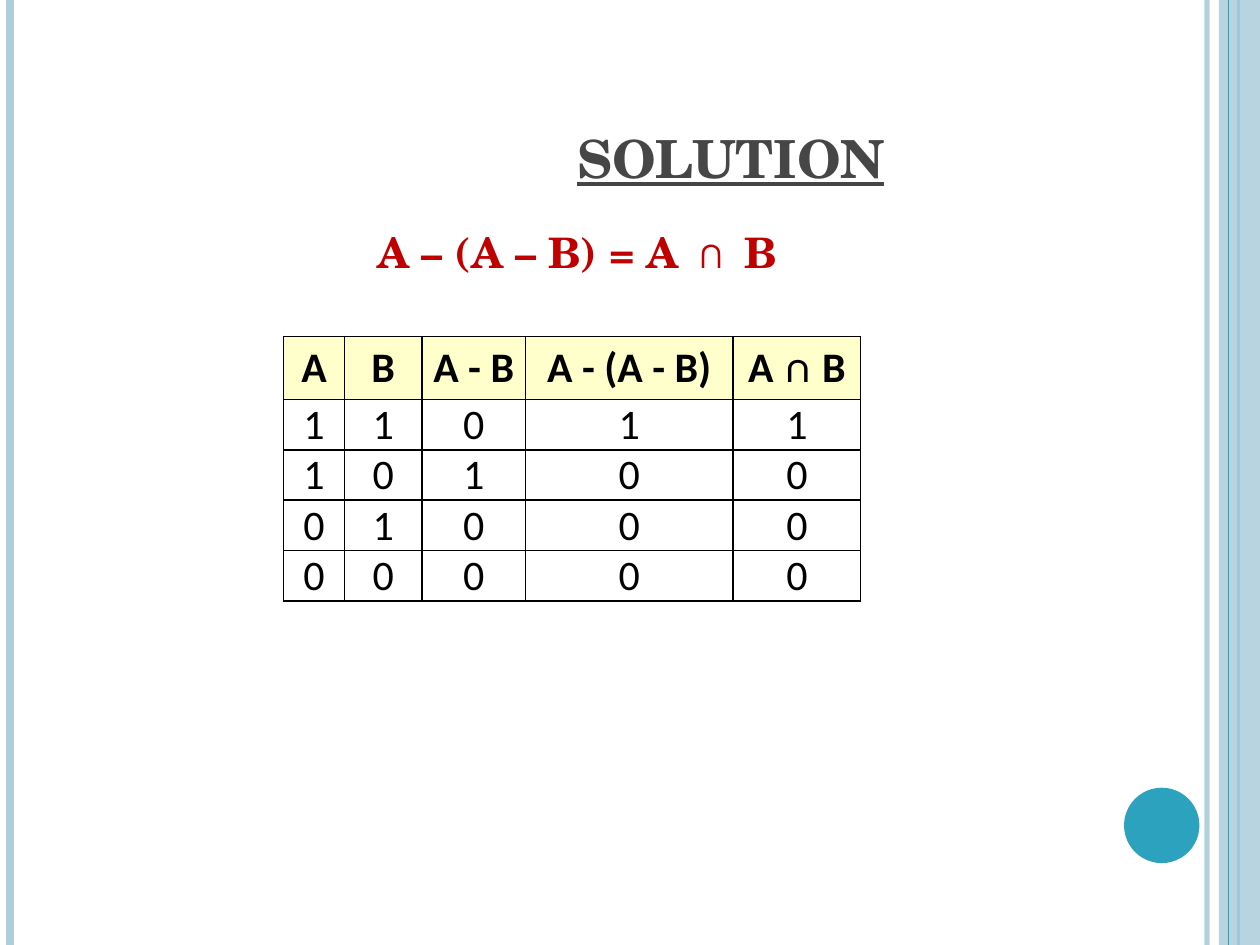
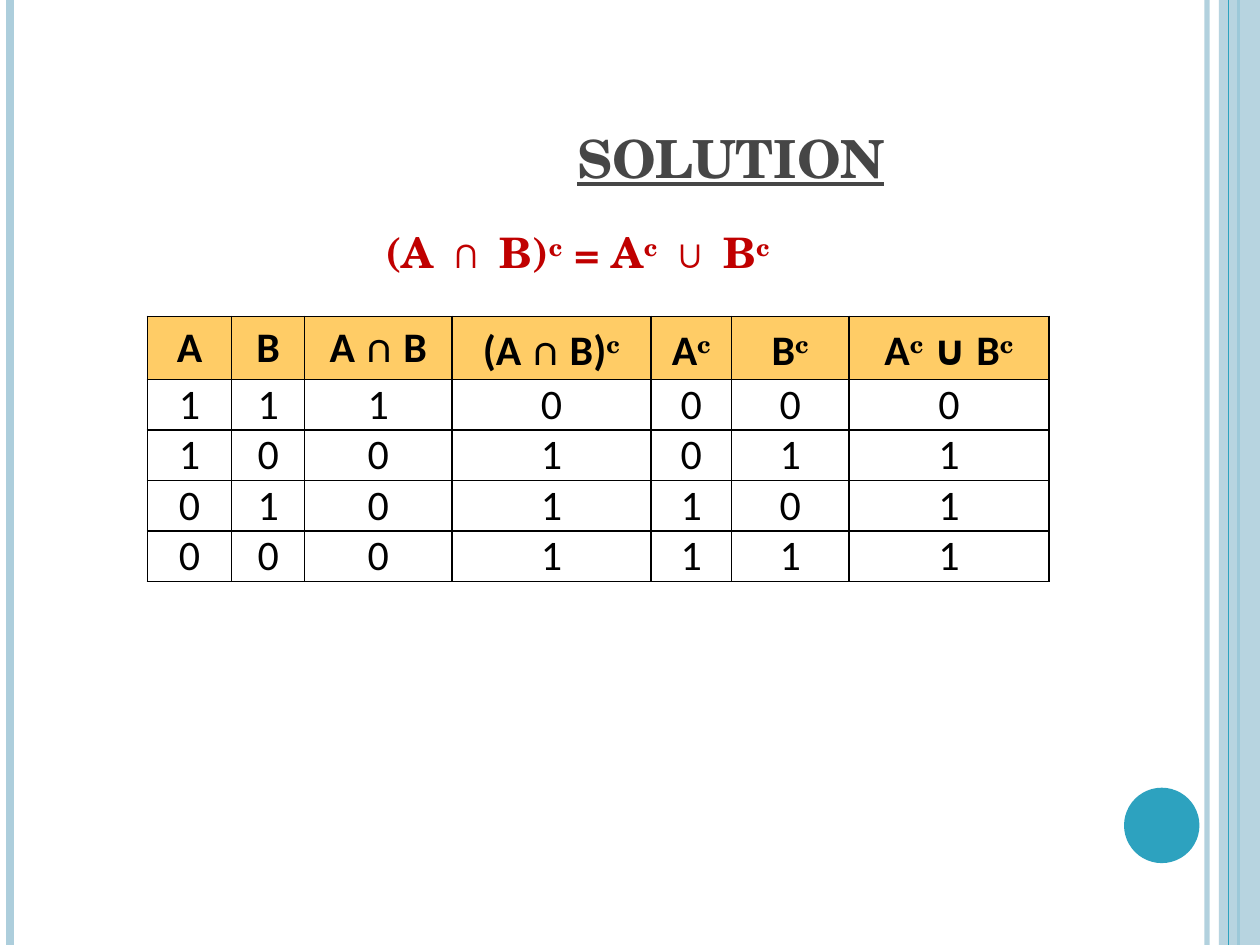
from dataclasses import dataclass

from lxml.etree import SubElement
from pptx import Presentation
from pptx.dml.color import RGBColor
from pptx.enum.shapes import MSO_CONNECTOR, MSO_SHAPE
from pptx.enum.text import MSO_ANCHOR, PP_ALIGN
from pptx.oxml.ns import qn
from pptx.util import Cm, Pt

TITLE = "SOLUTION"
SUPERSCRIPT = "^c"

PROOFS = [
    {
        "identity": "A – (A – B) = A ∩ B",
        "columns": [("A", 1.22), ("B", 1.57), ("A - B", 2.08),
                    ("A - (A - B)", 4.19), ("A ∩ B", 2.57)],
        "truth_rows": ["11011", "10100", "01000", "00000"],
        "corner": (5.72, 6.78),
        "side_margin": 0,
        "header_fill": "FFFFCC",
    },
    {
        "identity": "(A ∩ B)^c = A^c ∪ B^c",
        "columns": [("A", 1.7), ("B", 1.47), ("A ∩ B", 2.97),
                    ("(A ∩ B)^c", 4.01), ("A^c", 1.63), ("B^c", 2.36),
                    ("A^c ∪ B^c", 4.04)],
        "truth_rows": ["1110000", "1001011", "0101101", "0001111"],
        "corner": (2.97, 6.38),
        "side_margin": 0.18,
        "header_fill": "FFCC66",
    },
]


@dataclass(frozen=True)
class Theme:
    heading_font: str = "TeX Gyre Schola"
    table_font: str = "Calibri"
    title_size: int = 30
    text_size: int = 24
    title: str = "464646"
    identity: str = "C00000"
    ink: str = "000000"
    accent: str = "2DA2BF"
    band: str = "ADCEDC"


THEME = Theme()
SLIDE_WIDTH, SLIDE_HEIGHT = 25.4, 19.05
TEXT_LEFT, TEXT_WIDTH = 1.27, 20.75
BAND_LEFT = 24.57
DISC_SIZE = 1.52
HEADER_HEIGHT, ROW_HEIGHT = 1.27, 1.0


def set_opacity(element, percent):
    for color in element.iter(qn("a:srgbClr")):
        SubElement(color, qn("a:alpha"), val=str(percent * 1000))


def add_stripe(slide, x, color, weight, opacity=100):
    stripe = slide.shapes.add_connector(
        MSO_CONNECTOR.STRAIGHT, Cm(x), 0, Cm(x), Cm(SLIDE_HEIGHT))
    stripe.line.color.rgb = RGBColor.from_string(color)
    stripe.line.width = Pt(weight)
    properties = stripe._element.spPr
    SubElement(properties, qn("a:effectLst"))
    if opacity < 100:
        set_opacity(properties, opacity)


def add_plain_shape(slide, preset, left, top, width, height, color):
    shape = slide.shapes.add_shape(preset, Cm(left), Cm(top), Cm(width), Cm(height))
    shape.shadow.inherit = False
    shape.fill.solid()
    shape.fill.fore_color.rgb = RGBColor.from_string(color)
    shape.line.fill.background()
    return shape


def add_frame(slide):
    add_stripe(slide, 24.33, THEME.band, 3, 93)
    add_stripe(slide, 0.2, THEME.band, 4.5)
    add_stripe(slide, 24.97, THEME.accent, 1.5)
    band = add_plain_shape(slide, MSO_SHAPE.RECTANGLE, BAND_LEFT, 0,
                           SLIDE_WIDTH - BAND_LEFT, SLIDE_HEIGHT, THEME.band)
    set_opacity(band._element.spPr, 87)
    add_stripe(slide, 24.77, THEME.accent, 0.75)
    add_plain_shape(slide, MSO_SHAPE.OVAL, 22.66, 15.88,
                    DISC_SIZE, DISC_SIZE, THEME.accent)


def style_run(run, font, size, color, bold):
    run.font.name = font
    run.font.size = Pt(size)
    run.font.bold = bold
    run.font.color.rgb = RGBColor.from_string(color)


def write_formula(paragraph, formula, font, color, bold=True):
    paragraph.alignment = PP_ALIGN.CENTER
    bases = formula.split(SUPERSCRIPT)
    for index, base in enumerate(bases):
        if index:
            complement = paragraph.add_run()
            complement.text = SUPERSCRIPT[1:]
            style_run(complement, THEME.heading_font, THEME.text_size, color, bold)
            complement.font._element.set("baseline", "30000")
        if base:
            term = paragraph.add_run()
            term.text = base
            style_run(term, font, THEME.text_size, color, bold)


def add_text_frame(slide, top, height, anchor):
    frame = slide.shapes.add_textbox(
        Cm(TEXT_LEFT), Cm(top), Cm(TEXT_WIDTH), Cm(height)).text_frame
    frame.word_wrap = True
    frame.vertical_anchor = anchor
    return frame


def add_title(slide):
    frame = add_text_frame(slide, 0.76, 3.18, MSO_ANCHOR.BOTTOM)
    frame.margin_left = Cm(6.43)
    frame.text = TITLE
    heading = frame.paragraphs[0]
    heading.alignment = PP_ALIGN.CENTER
    style_run(heading.runs[0], THEME.heading_font, THEME.title_size, THEME.title, True)
    heading.runs[0].font.underline = True


def add_borders(cell):
    properties = cell._tc.get_or_add_tcPr()
    for side in ("lnL", "lnR", "lnT", "lnB"):
        border = SubElement(properties, qn(f"a:{side}"), w=str(Pt(1)))
        fill = SubElement(border, qn("a:solidFill"))
        SubElement(fill, qn("a:srgbClr"), val=THEME.ink)


def add_truth_table(slide, proof):
    headings, widths = zip(*proof["columns"])
    rows = [headings, *proof["truth_rows"]]
    heights = [HEADER_HEIGHT] + [ROW_HEIGHT] * len(proof["truth_rows"])
    left, top = proof["corner"]
    table = slide.shapes.add_table(
        len(rows), len(widths), Cm(left), Cm(top),
        Cm(sum(widths)), Cm(sum(heights))).table
    table.first_row = table.horz_banding = False
    for column, width in zip(table.columns, widths):
        column.width = Cm(width)
    for r, (row, height) in enumerate(zip(rows, heights)):
        is_header = r == 0
        table.rows[r].height = Cm(height)
        for c, value in enumerate(row):
            cell = table.cell(r, c)
            cell.margin_left = cell.margin_right = Cm(proof["side_margin"])
            cell.margin_top = cell.margin_bottom = 0
            add_borders(cell)
            if is_header:
                cell.vertical_anchor = MSO_ANCHOR.MIDDLE
                cell.fill.solid()
                cell.fill.fore_color.rgb = RGBColor.from_string(proof["header_fill"])
            else:
                cell.fill.background()
            write_formula(cell.text_frame.paragraphs[0], value,
                          THEME.table_font, THEME.ink, is_header)


def main():
    deck = Presentation()
    deck.slide_width, deck.slide_height = Cm(SLIDE_WIDTH), Cm(SLIDE_HEIGHT)
    for proof in PROOFS:
        slide = deck.slides.add_slide(deck.slide_layouts[6])
        add_frame(slide)
        add_title(slide)
        identity = add_text_frame(slide, 4.45, 13.54, MSO_ANCHOR.TOP)
        write_formula(identity.paragraphs[0], proof["identity"],
                      THEME.heading_font, THEME.identity)
        add_truth_table(slide, proof)
    deck.save("out.pptx")


if __name__ == "__main__":
    main()
